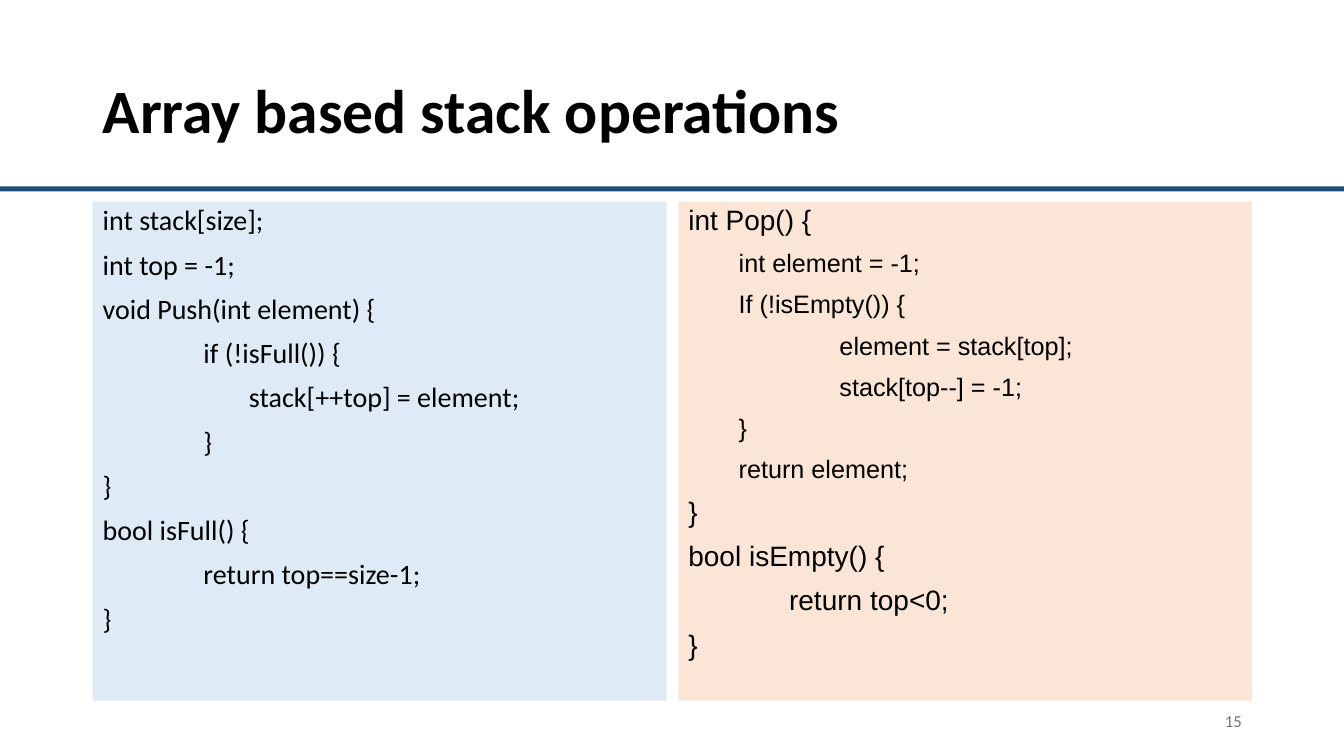
"""Build a slide that shows array based stack operations as two code panels."""
from dataclasses import dataclass

from pptx import Presentation
from pptx.dml.color import RGBColor
from pptx.enum.shapes import MSO_SHAPE
from pptx.enum.text import MSO_ANCHOR, MSO_AUTO_SIZE, PP_ALIGN
from pptx.util import Pt


@dataclass(frozen=True)
class Theme:
    """Colours, fonts and type sizes of the slide."""
    ink: str = "000000"
    rule: str = "1F4E79"
    blue: str = "DEEBF7"
    peach: str = "FBE5D6"
    grey: str = "767171"
    main: str = "Calibri"
    alt: str = "Arial"
    head: int = 44
    code: int = 20
    small: int = 18
    note: int = 12


@dataclass(frozen=True)
class Line:
    """One code line with its indent in points."""
    text: str
    indent: float = 0
    level: int = 0


@dataclass(frozen=True)
class Panel:
    """A filled block of code."""
    left: float
    fill: str
    font: str
    lines: tuple[Line, ...]


THEME = Theme()
WIDTH, HEIGHT = 960, 540
LEFT, TOP = 66.24, 144
PANEL_W, PANEL_H, STEP = 409.68, 356.4, 418.32
BODY, TAB, DEEP = 36, 72, 104.5

PANELS = (
    Panel(LEFT, THEME.blue, THEME.main, (
        Line("int stack[size];"),
        Line("int top = -1;"),
        Line("void Push(int element) {"),
        Line("if (!isFull()) {", TAB),
        Line("stack[++top] = element;", DEEP),
        Line("}", TAB),
        Line("}"),
        Line("bool isFull() {"),
        Line("return top==size-1;", TAB),
        Line("}"),
    )),
    Panel(LEFT + STEP, THEME.peach, THEME.alt, (
        Line("int Pop() {"),
        Line("int element = -1;", BODY, 1),
        Line("If (!isEmpty()) {", BODY, 1),
        Line("element = stack[top];", BODY + TAB, 1),
        Line("stack[top--] = -1;", BODY + TAB, 1),
        Line("}", BODY, 1),
        Line("return element;", BODY, 1),
        Line("}"),
        Line("bool isEmpty() {"),
        Line("return top<0;", TAB),
        Line("}"),
    )),
)


def style(para, font: str, size: float, color: str, bold: bool = False) -> None:
    """Set the font of a paragraph."""
    para.font.name = font
    para.font.size = Pt(size)
    para.font.bold = bold
    para.font.color.rgb = RGBColor.from_string(color)


def add_rect(slide, left: float, top: float, width: float, height: float, fill: str):
    """Add a plain filled rectangle."""
    rect = slide.shapes.add_shape(
        MSO_SHAPE.RECTANGLE, Pt(left), Pt(top), Pt(width), Pt(height))
    rect.shadow.inherit = False
    rect.fill.solid()
    rect.fill.fore_color.rgb = RGBColor.from_string(fill)
    rect.line.fill.background()
    return rect


def set_title(slide, text: str) -> None:
    """Place and format the title."""
    title = slide.shapes.title
    title.left, title.top = Pt(LEFT), Pt(28.8)
    title.width, title.height = Pt(828), Pt(104.4)
    frame = title.text_frame
    frame.text = text
    frame.auto_size = MSO_AUTO_SIZE.NONE
    frame.vertical_anchor = MSO_ANCHOR.MIDDLE
    para = frame.paragraphs[0]
    para.alignment = PP_ALIGN.LEFT
    para.line_spacing = 0.9
    style(para, THEME.main, THEME.head, THEME.ink, True)


def add_panel(slide, panel: Panel) -> None:
    """Draw a panel and its code lines."""
    rect = add_rect(slide, panel.left, TOP, PANEL_W, PANEL_H, panel.fill)
    frame = rect.text_frame
    frame.word_wrap = True
    frame.vertical_anchor = MSO_ANCHOR.TOP
    frame.text = "\n".join(line.text for line in panel.lines)
    for para, line in zip(frame.paragraphs, panel.lines):
        para.alignment = PP_ALIGN.LEFT
        para.level = line.level
        para.line_spacing = 0.9
        para.space_before = Pt(10)
        props = para._p.get_or_add_pPr()
        props.set("marL", str(Pt(line.indent)))
        props.set("indent", "0")
        size = THEME.small if line.level else THEME.code
        style(para, panel.font, size, THEME.ink)


def add_number(slide, text: str) -> None:
    """Add the page number at the lower right."""
    box = slide.shapes.add_textbox(Pt(678.24), Pt(500.4), Pt(216), Pt(28.8))
    frame = box.text_frame
    frame.word_wrap = True
    frame.vertical_anchor = MSO_ANCHOR.MIDDLE
    frame.text = text
    para = frame.paragraphs[0]
    para.alignment = PP_ALIGN.RIGHT
    style(para, THEME.main, THEME.note, THEME.grey)


def main() -> None:
    """Build and save the slide."""
    deck = Presentation()
    deck.slide_width, deck.slide_height = Pt(WIDTH), Pt(HEIGHT)
    slide = deck.slides.add_slide(deck.slide_layouts[5])
    add_rect(slide, 0, 133.2, WIDTH, 3.6, THEME.rule)
    set_title(slide, "Array based stack operations")
    for panel in PANELS:
        add_panel(slide, panel)
    add_number(slide, "15")
    deck.save("out.pptx")


if __name__ == "__main__":
    main()
